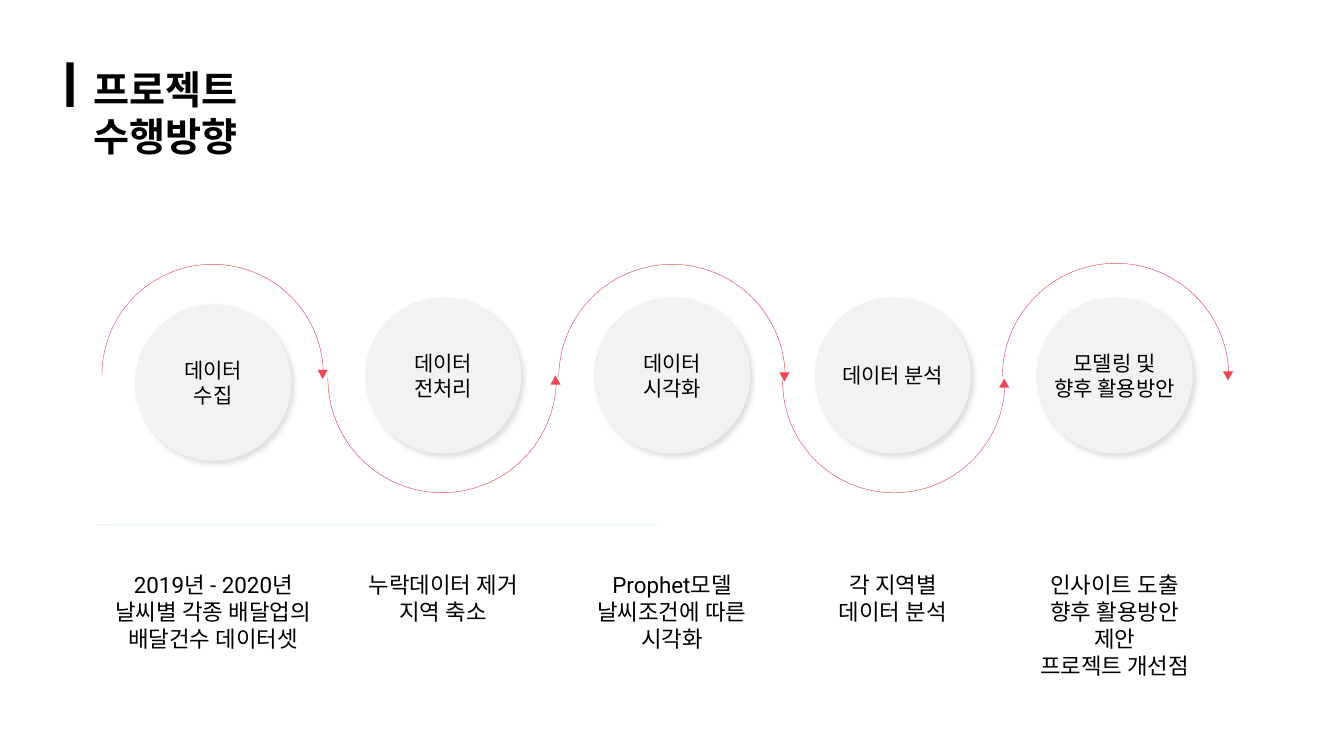
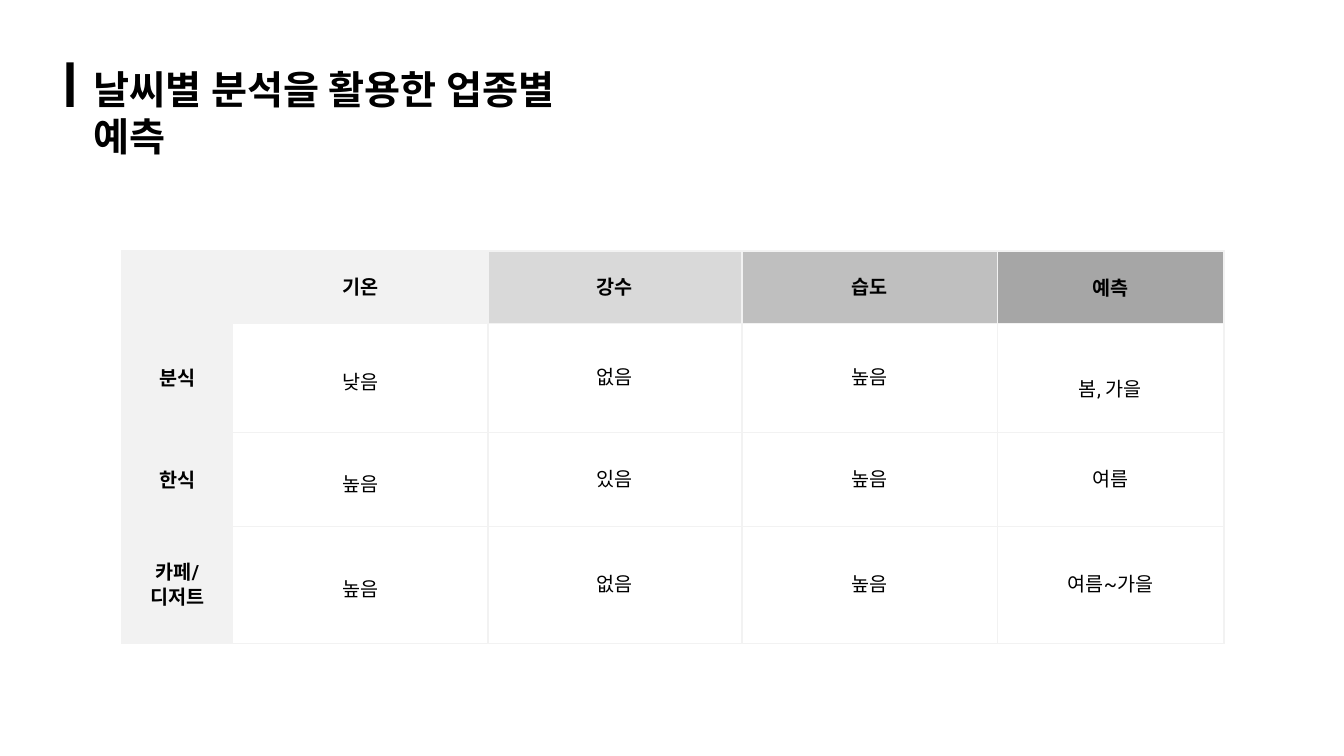
from dataclasses import dataclass

import pptx
import pptx.dml.color
import pptx.enum.shapes
import pptx.enum.text
import pptx.oxml
import pptx.oxml.ns
import pptx.util
from lxml import etree

Inches = pptx.util.Inches
Pt = pptx.util.Pt
SHAPE = pptx.enum.shapes.MSO_SHAPE
ALIGN = pptx.enum.text.PP_ALIGN
ANCHOR = pptx.enum.text.MSO_ANCHOR
qn = pptx.oxml.ns.qn


@dataclass(frozen=True)
class Theme:
    ink: str = "000000"
    accent: str = "EC4855"
    rule: str = "E0F3FC"
    pale: str = "F2F2F2"
    header_fills: tuple = ("F2F2F2", "F2F2F2", "D9D9D9", "BFBFBF", "A6A6A6")
    font: str = "Roboto"
    korean_font: str = "Noto Sans CJK KR"
    title_size: int = 28
    caption_size: int = 16
    label_size: int = 15
    table_size: int = 14


THEME = Theme()
DIAMETER = 1.55
STEPS = [
    (1.34, 3.02, ["데이터", "수집"], 2.27,
     ["2019년 - 2020년", "날씨별 각종 배달업의", "배달건수 데이터셋"]),
    (3.62, 2.95, ["데이터", "전처리"], 1.91, ["누락데이터 제거", "지역 축소"]),
    (5.89, 2.95, ["데이터", "시각화"], 1.91,
     ["Prophet모델", "날씨조건에 따른", "시각화"]),
    (8.08, 2.95, ["데이터 분석"], 1.91, ["각 지역별", "데이터 분석"]),
    (10.28, 2.95, ["모델링 및", "향후 활용방안"], 1.91,
     ["인사이트 도출", "향후 활용방안 제안", "프로젝트 개선점"]),
]
ARCS = [(1.01, 2.62, 2.2), (3.25, 2.62, 2.27), (5.54, 2.62, 2.25),
        (7.76, 2.68, 2.21), (9.94, 2.61, 2.25)]
FORECAST = [
    [[], ["기온"], ["강수"], ["습도"], ["예측"]],
    [["분식"], ["낮음"], ["없음"], ["높음"], ["봄, 가을"]],
    [["한식"], ["높음"], ["있음"], ["높음"], ["여름"]],
    [["카페/", "디저트"], ["높음"], ["없음"], ["높음"], ["여름~가을"]],
]
COLUMNS = [1.1, 2.53, 2.52, 2.53, 2.25]
ROWS = [0.69, 1.08, 0.93, 1.16]


def rgb(color):
    return pptx.dml.color.RGBColor.from_string(color)


def add_shape(s, kind, x, y, w, h, color):
    sp = s.shapes.add_shape(kind, Inches(x), Inches(y), Inches(w), Inches(h))
    sp.shadow.inherit = False
    sp.fill.solid()
    sp.fill.fore_color.rgb = rgb(color)
    sp.line.fill.background()
    return sp


def write(tf, lines, size, font=THEME.font, bold=False,
          align=ALIGN.CENTER, spacing=None):
    for i, line in enumerate(lines):
        p = tf.add_paragraph() if i else tf.paragraphs[0]
        p.alignment = align
        if spacing:
            p.line_spacing = Pt(spacing)
        r = p.add_run()
        r.text = line
        r.font.size = Pt(size)
        r.font.bold = bold
        r.font.color.rgb = rgb(THEME.ink)
        r.font.name = font
        etree.SubElement(r.font._element, qn("a:ea")).set("typeface", font)


def add_text(s, x, y, w, h, lines, size, **style):
    sp = s.shapes.add_textbox(Inches(x), Inches(y), Inches(w), Inches(h))
    sp.text_frame.word_wrap = True
    write(sp.text_frame, lines, size, **style)


def add_title(s, text, width):
    add_shape(s, SHAPE.RECTANGLE, 0.66, 0.62, 0.07, 0.44, THEME.ink)
    add_text(s, 0.83, 0.6, width, 0.57, [text], THEME.title_size,
             bold=True, align=ALIGN.LEFT)


def add_soft_shadow(sp):
    effects = sp._element.spPr.find(qn("a:effectLst"))
    shadow = etree.SubElement(effects, qn("a:outerShdw"), blurRad=str(Pt(4)),
                              dist=str(Pt(3)), dir="2700000", algn="tl",
                              rotWithShape="0")
    color = etree.SubElement(shadow, qn("a:srgbClr"), val=THEME.ink)
    etree.SubElement(color, qn("a:alpha"), val="12000")


def add_circle(s, x, y, lines):
    sp = add_shape(s, SHAPE.OVAL, x, y, DIAMETER, DIAMETER, THEME.pale)
    add_soft_shadow(sp)
    tf = sp.text_frame
    tf.word_wrap = False
    tf.vertical_anchor = ANCHOR.MIDDLE
    write(tf, lines, THEME.label_size, font=THEME.korean_font)


def add_arc_arrow(s, x, y, size, over):
    arc = add_shape(s, SHAPE.BLOCK_ARC, x, y, size, size, THEME.accent)
    for i, value in enumerate((108, 0.337, 0.002)):
        arc.adjustments[i] = value
    middle = y + size / 2
    tip_y = middle - 0.05 if over else middle - 0.03
    tip = add_shape(s, SHAPE.ISOSCELES_TRIANGLE, x + size - 0.06, tip_y,
                    0.1, 0.09, THEME.accent)
    turned = tip if over else arc
    turned.rotation = 180


def add_rule(s, x1, x2, y):
    line = s.shapes.add_connector(pptx.enum.shapes.MSO_CONNECTOR.STRAIGHT,
                                  Inches(x1), Inches(y), Inches(x2), Inches(y))
    line.line.color.rgb = rgb(THEME.rule)
    line.line.width = Pt(0.5)
    etree.SubElement(line._element.spPr, qn("a:effectLst"))


def set_borders(cell):
    tcPr = cell._tc.get_or_add_tcPr()
    for side in ("a:lnL", "a:lnR", "a:lnT", "a:lnB"):
        ln = etree.SubElement(tcPr, qn(side), w=str(Pt(1)))
        fill = etree.SubElement(ln, qn("a:solidFill"))
        etree.SubElement(fill, qn("a:srgbClr"), val=THEME.pale)


def fill_cell(cell, row, col, lines):
    set_borders(cell)
    heading = row == 0 or col == 0
    if heading:
        cell.fill.solid()
        cell.fill.fore_color.rgb = rgb(THEME.header_fills[col])
    else:
        cell.fill.background()
    cell.vertical_anchor = ANCHOR.MIDDLE
    if heading or col == 1:
        cell.margin_left = cell.margin_right = Inches(0.21)
        cell.margin_top = cell.margin_bottom = Inches(0.21)
    spacing = None
    if col == 0 or (row == 0 and col == len(COLUMNS) - 1):
        spacing = 18
    elif col == 1 and row:
        spacing = 25.2
    font = THEME.korean_font if col == 1 and row else THEME.font
    write(cell.text_frame, lines, THEME.table_size, font=font,
          bold=heading, spacing=spacing)


def add_forecast_table(s, x, y):
    frame = s.shapes.add_table(len(ROWS), len(COLUMNS), Inches(x), Inches(y),
                               Inches(sum(COLUMNS)), Inches(sum(ROWS)))
    table = frame.table
    table.first_row = False
    table.horz_banding = False
    for column, width in zip(table.columns, COLUMNS):
        column.width = Inches(width)
    for row, height in zip(table.rows, ROWS):
        row.height = Inches(height)
    for i, texts in enumerate(FORECAST):
        for j, lines in enumerate(texts):
            fill_cell(table.cell(i, j), i, j, lines)
    table.cell(1, 4).margin_top = Inches(0.28)


def build_process(s):
    add_title(s, "프로젝트 수행방향", 3.03)
    add_rule(s, 6.53, 0.97, 5.2)
    for x, y, label, width, caption in STEPS:
        add_circle(s, x, y, label)
        add_text(s, x + (DIAMETER - width) / 2, 5.62, width, 0.91,
                 caption, THEME.caption_size)
    for i, (x, y, size) in enumerate(ARCS):
        add_arc_arrow(s, x, y, size, over=i % 2 == 0)


def build_forecast(s):
    add_title(s, "날씨별 분석을 활용한 업종별 예측", 5.38)
    add_forecast_table(s, 1.21, 2.49)


def main():
    prs = pptx.Presentation()
    prs.slide_width = Inches(13.33)
    prs.slide_height = Inches(7.5)
    for build in (build_process, build_forecast):
        build(prs.slides.add_slide(prs.slide_layouts[6]))
    prs.save("out.pptx")


if __name__ == "__main__":
    main()
